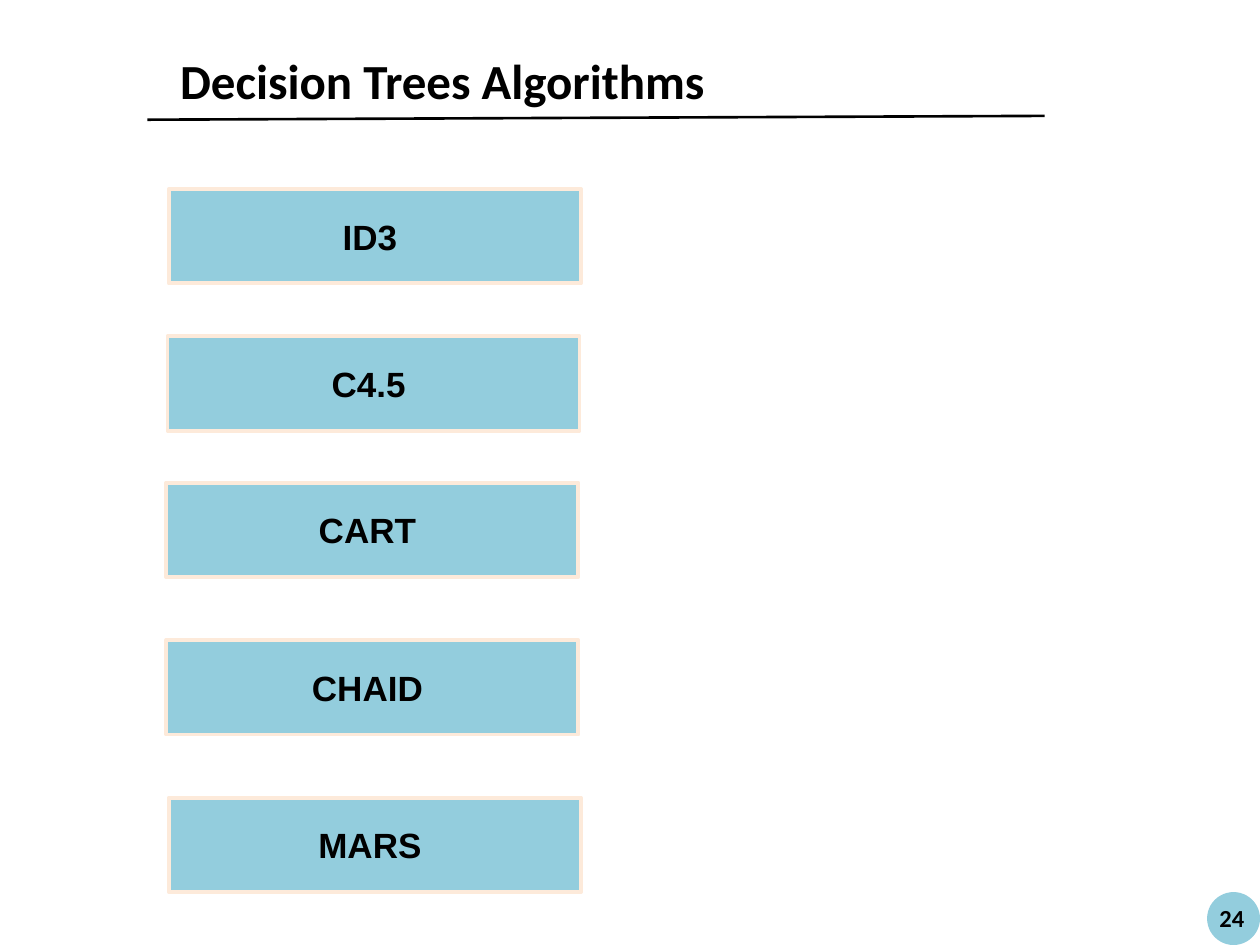
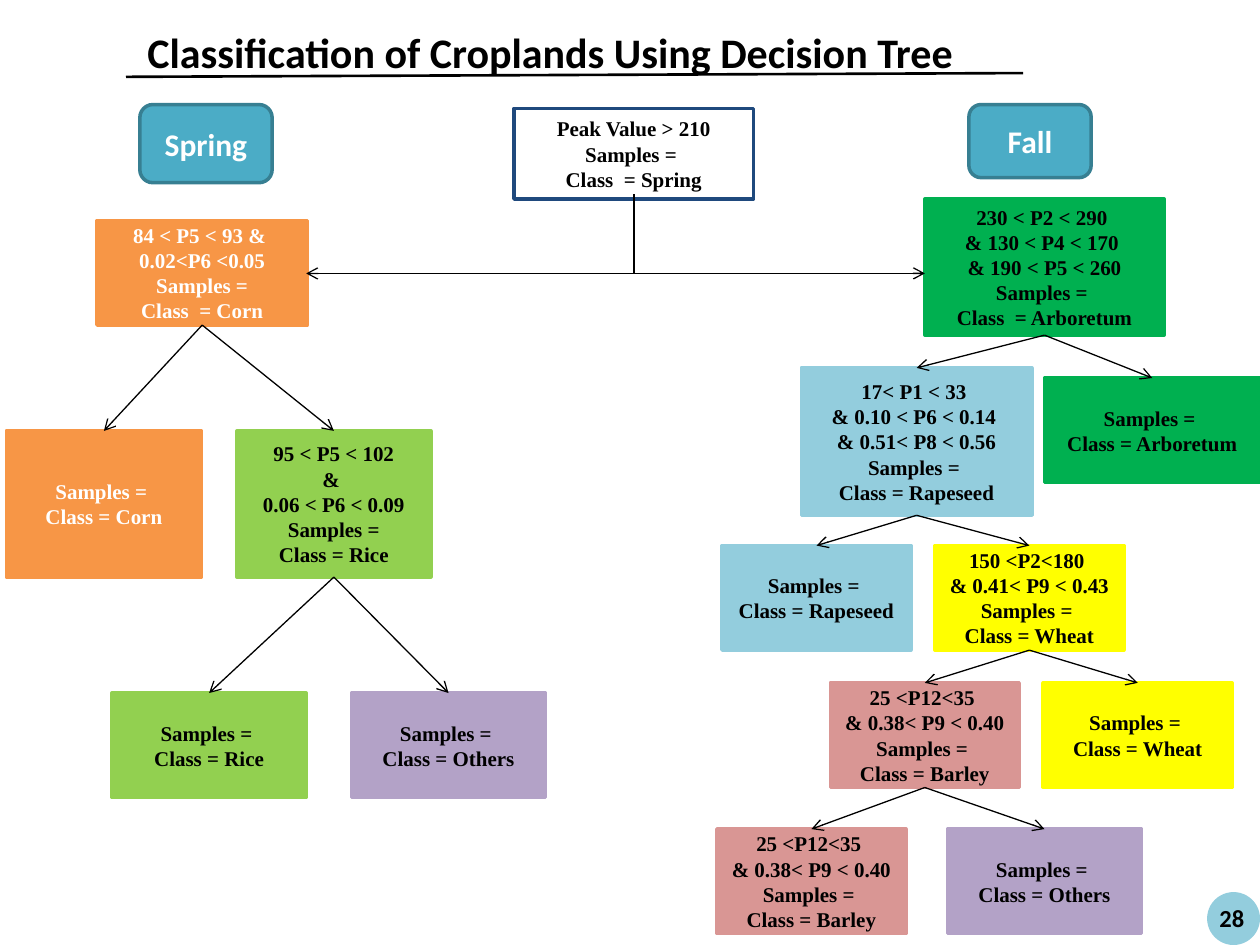
from dataclasses import dataclass

from pptx import Presentation
from pptx.dml.color import RGBColor
from pptx.enum.shapes import MSO_CONNECTOR, MSO_SHAPE
from pptx.enum.text import MSO_ANCHOR, MSO_AUTO_SIZE, PP_ALIGN
from pptx.oxml.ns import qn
from pptx.oxml.xmlchemy import OxmlElement
from pptx.util import Inches, Pt

RECT = MSO_SHAPE.RECTANGLE
ROUND = MSO_SHAPE.ROUNDED_RECTANGLE
OVAL = MSO_SHAPE.OVAL
STRAIGHT = MSO_CONNECTOR.STRAIGHT
ELBOW = MSO_CONNECTOR.ELBOW
LEFT, CENTER = PP_ALIGN.LEFT, PP_ALIGN.CENTER
TOP, MIDDLE = MSO_ANCHOR.TOP, MSO_ANCHOR.MIDDLE
FIT_SHAPE = MSO_AUTO_SIZE.SHAPE_TO_FIT_TEXT
SITE_TOP, SITE_BOTTOM = 0, 2
TITLE_ONLY = 5


@dataclass(frozen=True)
class Theme:
    black: str = "000000"
    white: str = "FFFFFF"
    sky: str = "93CDDD"
    cream: str = "FDEADA"
    navy: str = "1F497D"
    teal: str = "4BACC6"
    dark_teal: str = "377F92"
    orange: str = "F79646"
    lime: str = "92D050"
    green: str = "00B050"
    yellow: str = "FFFF00"
    rose: str = "D99694"
    purple: str = "B3A2C7"
    heading_font: str = "Calibri"
    list_font: str = "Arial"
    tree_font: str = "Times New Roman"
    number_size: int = 14
    list_size: int = 20
    season_size: int = 18
    tree_size: int = 12
    rule_width: float = 1.5
    list_border: float = 2.25
    box_border: float = 2
    arrow_width: float = 0.75


T = Theme()


@dataclass(frozen=True)
class TextStyle:
    font: str
    size: int
    color: str = T.black
    align: PP_ALIGN = CENTER
    anchor: MSO_ANCHOR = MIDDLE
    wrap: bool = True


@dataclass(frozen=True)
class Box:
    left: float
    top: float
    width: float
    height: float
    text: str
    fill: str | None
    style: TextStyle
    border: str | None = None
    border_width: float = T.box_border
    kind: MSO_SHAPE = RECT


@dataclass(frozen=True)
class Heading:
    text: str
    size: int
    left: float
    top: float
    width: float
    height: float
    rule_left: float
    rule_top: float
    number: str


TREE = TextStyle(T.tree_font, T.tree_size)
TREE_LIGHT = TextStyle(T.tree_font, T.tree_size, T.white)
SEASON = TextStyle(T.heading_font, T.season_size, T.white)
LIST = TextStyle(T.list_font, T.list_size, wrap=False)
NUMBER = TextStyle(T.heading_font, T.number_size, align=LEFT, anchor=TOP)

ALGORITHMS = [
    ("ID3 ", 1.34, 1.5),
    ("C4.5 ", 1.33, 2.67),
    ("CART ", 1.32, 3.83),
    ("CHAID ", 1.32, 5.08),
    ("MARS ", 1.34, 6.33),
]

SEASONS = [
    Box(1.11, 0.83, 1.05, 0.62, "Spring", T.teal, SEASON, T.dark_teal, kind=ROUND),
    Box(7.69, 0.83, 0.97, 0.58, "Fall", T.teal, SEASON, T.dark_teal, kind=ROUND),
]

BARLEY_TEXT = "25 <P12<35 \n& 0.38< P9 < 0.40\nSamples = \nClass = Barley"

NODES = {
    "peak": Box(4.08, 0.86, 1.9, 0.72,
                "Peak Value > 210\nSamples = \nClass  = Spring", None, TREE, T.navy),
    "corn": Box(0.77, 1.75, 1.67, 0.83,
                "84 < P5 < 93 & \n0.02<P6 <0.05\n Samples = \nClass  = Corn",
                T.orange, TREE_LIGHT),
    "corn leaf": Box(0.05, 3.42, 1.55, 1.16, "Samples = \nClass = Corn",
                     T.orange, TREE_LIGHT),
    "rice": Box(1.88, 3.42, 1.54, 1.16,
                "95 < P5 < 102\n& \n0.06 < P6 < 0.09\n Samples = \nClass = Rice",
                T.lime, TREE),
    "rice leaf": Box(0.89, 5.5, 1.54, 0.83, "Samples = \nClass = Rice", T.lime, TREE),
    "spring others": Box(2.79, 5.5, 1.54, 0.83, "Samples = \nClass = Others",
                         T.purple, TREE),
    "arboretum": Box(7.34, 1.58, 1.9, 1.08,
                     "230 < P2 < 290 \n& 130 < P4 < 170 \n& 190 < P5 < 260\n"
                     "Samples = \nClass  = Arboretum", T.green, TREE),
    "arboretum leaf": Box(8.29, 3, 1.71, 0.83, "Samples = \nClass = Arboretum",
                          T.green, TREE),
    "rapeseed": Box(6.36, 2.92, 1.83, 1.17,
                    "17< P1 < 33 \n& 0.10 < P6 < 0.14 \n& 0.51< P8 < 0.56\n"
                    "Samples = \nClass = Rapeseed", T.sky, TREE),
    "rapeseed leaf": Box(5.73, 4.33, 1.5, 0.83, "Samples = \nClass = Rapeseed",
                         T.sky, TREE),
    "wheat": Box(7.42, 4.33, 1.5, 0.83,
                 "150 <P2<180 \n& 0.41< P9 < 0.43\nSamples = \nClass = Wheat",
                 T.yellow, TREE),
    "wheat leaf": Box(8.28, 5.42, 1.5, 0.83, "Samples = \nClass = Wheat",
                      T.yellow, TREE),
    "barley": Box(6.59, 5.42, 1.5, 0.83, BARLEY_TEXT, T.rose, TREE),
    "barley leaf": Box(5.69, 6.58, 1.5, 0.83, BARLEY_TEXT, T.rose, TREE),
    "fall others": Box(7.52, 6.58, 1.54, 0.83, "Samples = \nClass = Others",
                       T.purple, TREE),
}

BRANCHES = {
    "corn": ("corn leaf", "rice"),
    "rice": ("rice leaf", "spring others"),
    "arboretum": ("rapeseed", "arboretum leaf"),
    "rapeseed": ("rapeseed leaf", "wheat"),
    "wheat": ("barley", "wheat leaf"),
    "barley": ("barley leaf", "fall others"),
}


def write(tf, text: str, style: TextStyle) -> None:
    tf.text = text
    tf.word_wrap = style.wrap
    tf.vertical_anchor = style.anchor
    for p in tf.paragraphs:
        p.alignment = style.align
        for r in p.runs:
            r.font.name = style.font
            r.font.size = Pt(style.size)
            r.font.bold = True
            r.font.color.rgb = RGBColor.from_string(style.color)


def add_box(s, box: Box):
    sp = s.shapes.add_shape(box.kind, Inches(box.left), Inches(box.top),
                            Inches(box.width), Inches(box.height))
    sp.shadow.inherit = False
    if box.fill:
        sp.fill.solid()
        sp.fill.fore_color.rgb = RGBColor.from_string(box.fill)
    else:
        sp.fill.background()
    sp.line.color.rgb = RGBColor.from_string(box.border or box.fill)
    sp.line.width = Pt(box.border_width)
    write(sp.text_frame, box.text, box.style)
    return sp


def add_line(s, x1: float, y1: float, x2: float, y2: float, width: float,
             kind: MSO_CONNECTOR = STRAIGHT, arrow: bool = False):
    c = s.shapes.add_connector(kind, Inches(x1), Inches(y1), Inches(x2), Inches(y2))
    c.line.color.rgb = RGBColor.from_string(T.black)
    c.line.width = Pt(width)
    spPr = c._element.spPr
    if arrow:
        tail = OxmlElement("a:tailEnd")
        tail.set("type", "arrow")
        spPr.find(qn("a:ln")).append(tail)
    spPr.append(OxmlElement("a:effectLst"))
    return c


def add_branch(s, parent, child) -> None:
    c = add_line(s, 0, 0, 1, 1, T.arrow_width, arrow=True)
    c.begin_connect(parent, SITE_BOTTOM)
    c.end_connect(child, SITE_TOP)


def add_elbow(s, x1: float, y1: float, x2: float, y2: float) -> None:
    c = add_line(s, x1, y1, x2, y2, T.arrow_width, ELBOW, arrow=True)
    run, drop = abs(x2 - x1), y2 - y1
    c.left = Inches((x1 + x2 - drop) / 2)
    c.top = Inches((y1 + y2 - run) / 2)
    c.width, c.height = Inches(drop), Inches(run)
    spPr = c._element.spPr
    geom = spPr.find(qn("a:prstGeom"))
    geom.set("prst", "bentConnector2")
    xfrm = spPr.find(qn("a:xfrm"))
    xfrm.attrib.pop("flipH", None)
    if x2 > x1:
        xfrm.set("rot", str(270 * 60000))
        xfrm.set("flipH", "1")
    else:
        xfrm.set("rot", str(90 * 60000))


def add_slide(prs, h: Heading):
    s = prs.slides.add_slide(prs.slide_layouts[TITLE_ONLY])
    title = s.shapes.title
    title.left, title.top = Inches(h.left), Inches(h.top)
    title.width, title.height = Inches(h.width), Inches(h.height)
    write(title.text_frame, h.text,
          TextStyle(T.heading_font, h.size, align=LEFT, anchor=TOP, wrap=False))
    title.text_frame.auto_size = FIT_SHAPE
    add_line(s, h.rule_left, h.rule_top, h.rule_left + 7.12, h.rule_top - 0.03,
             T.rule_width)
    badge = add_box(s, Box(9.58, 7.08, 0.42, 0.42, "", T.sky, NUMBER, kind=OVAL))
    badge.line.fill.background()
    number = s.shapes.add_textbox(Inches(9.58), Inches(7.12), Inches(0.42), Inches(0.34))
    write(number.text_frame, h.number, NUMBER)
    return s


def build_algorithms(prs) -> None:
    s = add_slide(prs, Heading("Decision Trees Algorithms", 28, 1.33, 0.35, 4.41, 0.57,
                               1.17, 0.95, "24"))
    for name, left, top in ALGORITHMS:
        add_box(s, Box(left, top, 3.27, 0.75, name, T.sky, LIST, T.cream, T.list_border))


def build_croplands(prs) -> None:
    s = add_slide(prs, Heading("Classification of Croplands Using Decision Tree", 24,
                               1.07, 0.16, 6.66, 0.5, 1, 0.61, "28"))
    for season in SEASONS:
        add_box(s, season)
    nodes = {name: add_box(s, box) for name, box in NODES.items()}
    for parent, children in BRANCHES.items():
        for child in children:
            add_branch(s, nodes[parent], nodes[child])
    add_elbow(s, 5.03, 1.58, 2.43, 2.17)
    add_elbow(s, 5.03, 1.54, 7.34, 2.17)


def main() -> None:
    prs = Presentation()
    prs.slide_width, prs.slide_height = Inches(10), Inches(7.5)
    build_algorithms(prs)
    build_croplands(prs)
    prs.save("out.pptx")


if __name__ == "__main__":
    main()
